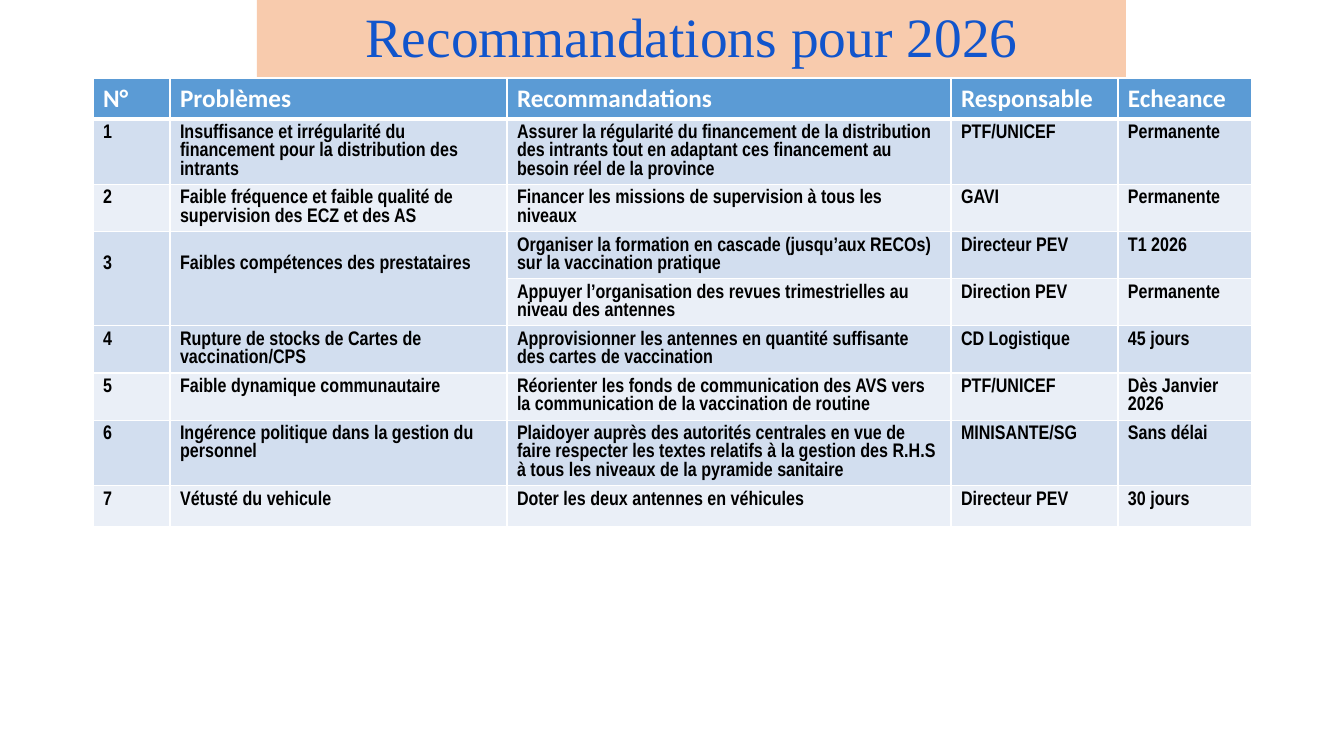
from lxml.etree import SubElement
from pptx import Presentation
from pptx.dml.color import RGBColor
from pptx.enum.shapes import MSO_SHAPE
from pptx.enum.text import MSO_ANCHOR, PP_ALIGN
from pptx.oxml.ns import qn
from pptx.util import Pt

EMU_PER_PX = 914400 / 100.8
WHITE = "FFFFFF"
HEADER_FILL = "5B9BD5"
BAND_FILLS = ("D2DEEF", "EAEFF7")
COLUMN_WIDTHS = (77, 337, 444, 167, 134)
ROW_HEIGHT = 41
LINE_HEIGHT = 19
MERGED_ROW = 3

HEADERS = ("N°", "Problèmes", "Recommandations", "Responsable", "Echeance")
RECOMMENDATIONS = (
    ("1", "Insuffisance et irrégularité du financement pour la distribution des intrants",
     "Assurer la régularité du financement de la distribution des intrants tout en adaptant "
     "ces financement au besoin réel de la province", "PTF/UNICEF", "Permanente"),
    ("2", "Faible fréquence et faible qualité de supervision des ECZ et des AS",
     "Financer les missions de supervision à tous les niveaux", "GAVI", "Permanente"),
    ("3", "Faibles compétences des prestataires",
     "Organiser la formation en cascade (jusqu’aux RECOs) sur la vaccination pratique",
     "Directeur PEV", "T1 2026"),
    ("", "", "Appuyer l’organisation des revues trimestrielles au niveau des antennes",
     "Direction PEV", "Permanente"),
    ("4", "Rupture de stocks de Cartes de vaccination/CPS",
     "Approvisionner les antennes en quantité suffisante des cartes de vaccination",
     "CD Logistique", "45 jours"),
    ("5", "Faible dynamique communautaire",
     "Réorienter les fonds de communication des AVS vers la communication de la vaccination "
     "de routine", "PTF/UNICEF", "Dès Janvier 2026"),
    ("6", "Ingérence politique dans la gestion du personnel",
     "Plaidoyer auprès des autorités centrales en vue de faire respecter les textes relatifs "
     "à la gestion des R.H.S à tous les niveaux de la pyramide sanitaire",
     "MINISANTE/SG", "Sans délai"),
    ("7", "Vétusté du vehicule", "Doter les deux antennes en véhicules",
     "Directeur PEV", "30 jours"),
)


def px(length):
    return round(length * EMU_PER_PX)


def color(value):
    return RGBColor.from_string(value)


def add_text(paragraph, text, font_name, size, text_color, bold=False):
    run = paragraph.add_run()
    run.text = text
    run.font.name = font_name
    run.font.size = Pt(size)
    run.font.bold = bold
    run.font.color.rgb = color(text_color)


def add_borders(cell, top, bottom):
    properties = cell._tc.get_or_add_tcPr()
    for side, width in (("L", 1), ("R", 1), ("T", top), ("B", bottom)):
        line = SubElement(properties, qn(f"a:ln{side}"), w=str(Pt(width)))
        fill = SubElement(line, qn("a:solidFill"))
        SubElement(fill, qn("a:srgbClr"), val=WHITE)


def add_title(slide, left, top, width, height):
    shape = slide.shapes.add_shape(
        MSO_SHAPE.RECTANGLE, px(left), px(top), px(width), px(height))
    shape.shadow.inherit = False
    shape.fill.solid()
    shape.fill.fore_color.rgb = color("F8CBAD")
    shape.line.fill.background()
    frame = shape.text_frame
    frame.word_wrap = True
    frame.vertical_anchor = MSO_ANCHOR.MIDDLE
    paragraph = frame.paragraphs[0]
    paragraph.alignment = PP_ALIGN.CENTER
    paragraph.line_spacing = 0.9
    add_text(paragraph, "Recommandations pour 2026", "Times New Roman", 39.6, "1155CC")


def fill_cell(cell, text, row_index):
    is_header = row_index == 0
    add_borders(cell, 3 if row_index == 1 else 1, 3 if is_header else 1)
    cell.fill.solid()
    cell.fill.fore_color.rgb = color(
        HEADER_FILL if is_header else BAND_FILLS[(row_index - 1) % 2])
    paragraph = cell.text_frame.paragraphs[0]
    if is_header:
        add_text(paragraph, text, "Calibri", 18, WHITE, True)
    elif text:
        add_text(paragraph, text, "Arial Narrow", 14, "000000", True)


def add_recommendations(slide, left, top):
    rows = (HEADERS,) + RECOMMENDATIONS
    table = slide.shapes.add_table(
        len(rows), len(HEADERS), px(left), px(top),
        px(sum(COLUMN_WIDTHS)), px(ROW_HEIGHT * len(rows))).table
    for column, width in zip(table.columns, COLUMN_WIDTHS):
        column.width = px(width)
    for row_index, texts in enumerate(rows):
        table.rows[row_index].height = px(ROW_HEIGHT)
        for column_index, text in enumerate(texts):
            fill_cell(table.cell(row_index, column_index), text, row_index)
    for column_index in range(2):
        cell = table.cell(MERGED_ROW, column_index)
        cell.merge(table.cell(MERGED_ROW + 1, column_index))
        cell.margin_top = px(5 + LINE_HEIGHT)


def main():
    presentation = Presentation()
    presentation.slide_width = px(1344)
    presentation.slide_height = px(756)
    slide = presentation.slides.add_slide(presentation.slide_layouts[6])
    add_title(slide, 257, 0, 869, 79)
    add_recommendations(slide, 93, 78)
    presentation.save("out.pptx")


if __name__ == "__main__":
    main()
